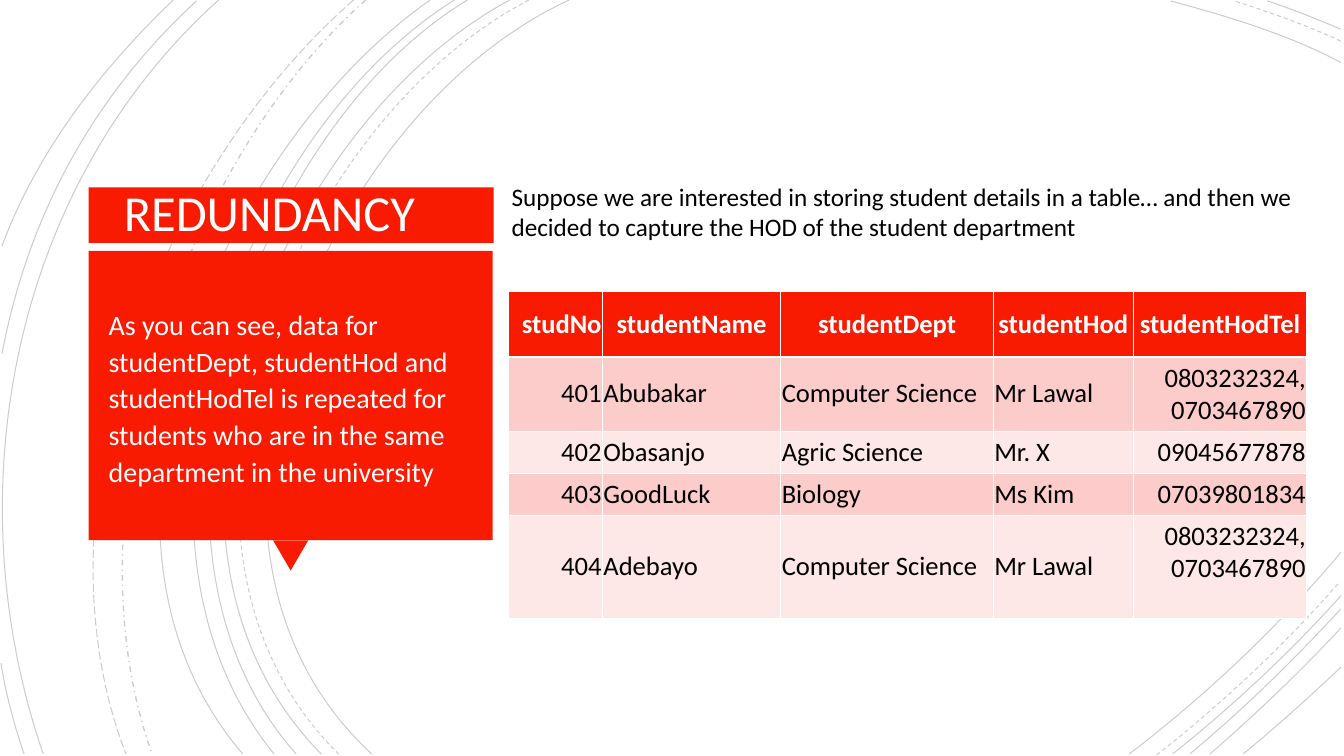
"""Build the slide on redundancy in a student table."""
import lxml.etree
import pptx
import pptx.dml.color
import pptx.enum.dml
import pptx.enum.shapes
import pptx.enum.text
import pptx.oxml
import pptx.oxml.ns
import pptx.util

COLUMNS, ROWS = 13.34, 7.5
FONT = "Calibri"
COLORS = {"red": "F81B02", "white": "FFFFFF", "title": "FFFEFF", "black": "000000",
          "dark band": "FCCCCB", "light band": "FEE7E7"}

TITLE = "REDUNDANCY"
REMARK = ("As you can see, data for studentDept, studentHod and studentHodTel is repeated "
          "for students who are in the same department in the university")
INTRO = ("Suppose we are interested in storing student details in a table… and then we "
         "decided to capture the HOD of the student department")
STUDENTS = [
    ("studNo", "studentName", "studentDept", "studentHod", "studentHodTel"),
    ("401", "Abubakar", "Computer Science", "Mr Lawal", "0803232324, 0703467890"),
    ("402", "Obasanjo", "Agric Science", "Mr. X", "09045677878"),
    ("403", "GoodLuck", "Biology", "Ms Kim", "07039801834"),
    ("404", "Adebayo", "Computer Science", "Mr Lawal", "0803232324, 0703467890"),
]
TABLE_PLACE = (5.05, 2.89)
TABLE_WIDTHS = (0.93, 1.77, 2.11, 1.39, 1.72)
TABLE_HEIGHTS = (0.65, 0.65, 0.33, 0.33, 0.96)
TABLE_ALIGN = ("RIGHT", "LEFT", "LEFT", "LEFT", "RIGHT")
BORDERS = {"thin": 0.45, "thick": 1.47}

TOP, EDGE, BOTTOM, RIGHT = 0, 0.01, 7.48, 13.31
ARCS = {
    "SOLID": [
        ((5.65, TOP), (3.15, 1.15), (1.43, 5.4), (3.69, BOTTOM)),
        ((RIGHT, 0.62), (12.78, 0.34), (12.18, 0.16), (11.62, EDGE)),
        ((11.21, BOTTOM), (11.97, 6.9), (12.69, 6.22), (RIGHT, 5.48)),
        ((5.06, TOP), (2.7, 1.27), (1.1, 5.37), (3.19, BOTTOM)),
        ((RIGHT, 0.29), (13.07, 0.19), (12.83, 0.09), (12.58, EDGE)),
        ((11.64, BOTTOM), (12.23, 7.01), (12.8, 6.48), (RIGHT, 5.91)),
        ((4.64, TOP), (2.44, 1.33), (1.1, 5.41), (2.94, BOTTOM)),
        ((11.81, BOTTOM), (12.34, 7.04), (12.84, 6.55), (RIGHT, 6.04)),
        ((4.51, TOP), (2.31, 1.38), (0.97, 5.33), (2.72, BOTTOM)),
        ((12.01, BOTTOM), (12.46, 7.09), (12.9, 6.67), (RIGHT, 6.23)),
        ((4.27, TOP), (2.17, 1.47), (0.53, 5.29), (2.41, BOTTOM)),
        ((12.34, BOTTOM), (12.67, 7.21), (12.99, 6.92), (RIGHT, 6.62)),
        ((2.17, TOP), (0.11, 1.85), (-0.46, 4.9), (0.43, BOTTOM)),
        ((1.95, EDGE), (0.92, 0.96), (0.28, 2.14), (0.02, 3.51)),
        ((0.01, 6.58), (0.06, 6.89), (0.14, 7.19), (0.24, BOTTOM)),
        ((1.72, TOP), (1, 0.69), (0.37, 1.5), (0.02, 2.44)),
    ],
    "DASH": [
        ((5.25, TOP), (2.85, 1.25), (1.23, 5.37), (3.36, BOTTOM)),
        ((RIGHT, 0.41), (12.97, 0.25), (12.6, 0.12), (12.25, EDGE)),
        ((11.48, 7.49), (12.13, 6.98), (12.75, 6.4), (13.3, 5.77)),
    ],
    "DASH_DOT": [((3.63, TOP), (1.76, 1.66), (0.65, 5.09), (1.51, BOTTOM))],
    "LONG_DASH": [((3.51, TOP), (1.57, 1.69), (0.29, 4.99), (1.25, BOTTOM))],
}
ARC_WIDTHS = {"DASH_DOT": 1}
ARC_ALPHA = "20000"

PANELS = [
    ("RECTANGLE", (0.88, 1.86, 4.02, 0.55), 0),
    ("ISOSCELES_TRIANGLE", (2.71, 5.36, 0.35, 0.3), 180),
    ("RECTANGLE", (0.88, 2.49, 4.01, 2.87), 0),
]
TITLE_BOX = (TITLE, (0.98, 1.89, 3.67, 0.5), (0.25, 0.25), "MIDDLE", 36, "title",
             {"line_spacing": 0.85})
REMARK_BOX = (REMARK, (0.98, 2.6, 3.73, 2.66), (0.1, 0.05), "MIDDLE", 20, "white",
              {"line_spacing": 1.1, "space_before": pptx.util.Pt(10)})
INTRO_BOX = (INTRO, (4.98, 1.75, 8.14, 1), (0.1, 0.05), "TOP", 18, "black", {})


def color(name):
    return pptx.dml.color.RGBColor.from_string(COLORS[name])


def lengths(values):
    return [pptx.util.Inches(value) for value in values]


def paint(filling, name):
    filling.solid()
    filling.fore_color.rgb = color(name)


def set_all(target, formats):
    for name, value in formats.items():
        setattr(target, name, value)


def write(para, text, size, color_name, bold=False):
    span = para.add_run()
    span.text = text
    set_all(span.font, {"name": FONT, "size": pptx.util.Pt(size), "bold": bold})
    span.font.color.rgb = color(color_name)


def bend(arc):
    """Turn the three straight steps of an outline into one Bezier curve."""
    steps = list(arc._element.iter(pptx.oxml.ns.qn("a:lnTo")))
    curve = lxml.etree.SubElement(steps[0].getparent(), pptx.oxml.ns.qn("a:cubicBezTo"))
    for step in steps:
        curve.append(step[0])
        step.getparent().remove(step)


def draw_arc(page, ends, dash):
    start, *others = [lengths(end) for end in ends]
    builder = page.shapes.build_freeform(*start)
    builder.add_line_segments(others, close=False)
    arc = builder.convert_to_shape()
    bend(arc)
    arc.shadow.inherit = False
    arc.fill.background()
    paint(arc.line.fill, "black")
    set_all(arc.line, {"width": pptx.util.Pt(ARC_WIDTHS.get(dash, 0.75)),
                       "dash_style": getattr(pptx.enum.dml.MSO_LINE, dash)})
    tint = arc._element.spPr.find(".//" + pptx.oxml.ns.qn("a:srgbClr"))
    lxml.etree.SubElement(tint, pptx.oxml.ns.qn("a:alpha"), val=ARC_ALPHA)


def draw_panel(page, kind, place, rotation):
    panel = page.shapes.add_shape(getattr(pptx.enum.shapes.MSO_SHAPE, kind), *lengths(place))
    panel.rotation = rotation
    panel.shadow.inherit = False
    paint(panel.fill, "red")
    panel.line.fill.background()


def draw_text(page, text, place, inset, anchor, size, color_name, spacing):
    box = page.shapes.add_textbox(*lengths(place)).text_frame
    side, edge = lengths(inset)
    set_all(box, {"word_wrap": True, "margin_left": side, "margin_right": side,
                  "margin_top": edge, "margin_bottom": edge,
                  "vertical_anchor": getattr(pptx.enum.text.MSO_ANCHOR, anchor)})
    set_all(box.paragraphs[0], spacing)
    write(box.paragraphs[0], text, size, color_name)


def add_borders(cell, row):
    thick_sides = {0: "B", 1: "T"}
    for index, side in enumerate("LRTB"):
        weight = BORDERS["thick" if thick_sides.get(row) == side else "thin"]
        border = pptx.oxml.parse_xml(
            f'<a:ln{side} {pptx.oxml.ns.nsdecls("a")} w="{pptx.util.Pt(weight)}"><a:solidFill>'
            f'<a:srgbClr val="{COLORS["white"]}"/></a:solidFill></a:ln{side}>')
        cell._tc.get_or_add_tcPr().insert(index, border)


def draw_table(page):
    size = (sum(TABLE_WIDTHS), sum(TABLE_HEIGHTS))
    table = page.shapes.add_table(len(STUDENTS), len(TABLE_WIDTHS),
                                  *lengths(TABLE_PLACE + size)).table
    for parts, name, values in ((table.columns, "width", TABLE_WIDTHS),
                                (table.rows, "height", TABLE_HEIGHTS)):
        for part, value in zip(parts, lengths(values)):
            setattr(part, name, value)
    for row, student in enumerate(STUDENTS):
        header = row == 0
        band = "red" if header else "dark band" if row % 2 else "light band"
        for column, text in enumerate(student):
            cell = table.cell(row, column)
            raised = row == len(STUDENTS) - 1 and column == len(student) - 1
            margins = lengths((0.01, 0.05, 0.01, 0.34 if raised else 0.05))
            names = ("margin_left", "margin_top", "margin_right", "margin_bottom")
            set_all(cell, dict(zip(names, margins)))
            cell.vertical_anchor = pptx.enum.text.MSO_ANCHOR.MIDDLE
            paint(cell.fill, band)
            add_borders(cell, row)
            para = cell.text_frame.paragraphs[0]
            align = "CENTER" if header and column else TABLE_ALIGN[column]
            para.alignment = getattr(pptx.enum.text.PP_ALIGN, align)
            write(para, text, 19, "white" if header else "black", header)


def main():
    deck = pptx.Presentation()
    deck.slide_width, deck.slide_height = lengths((COLUMNS, ROWS))
    page = deck.slides.add_slide(deck.slide_layouts[6])
    for dash, arcs in ARCS.items():
        for ends in arcs:
            draw_arc(page, ends, dash)
    for panel in PANELS:
        draw_panel(page, *panel)
    draw_text(page, *TITLE_BOX)
    draw_text(page, *REMARK_BOX)
    draw_table(page)
    draw_text(page, *INTRO_BOX)
    deck.save("out.pptx")


if __name__ == "__main__":
    main()
